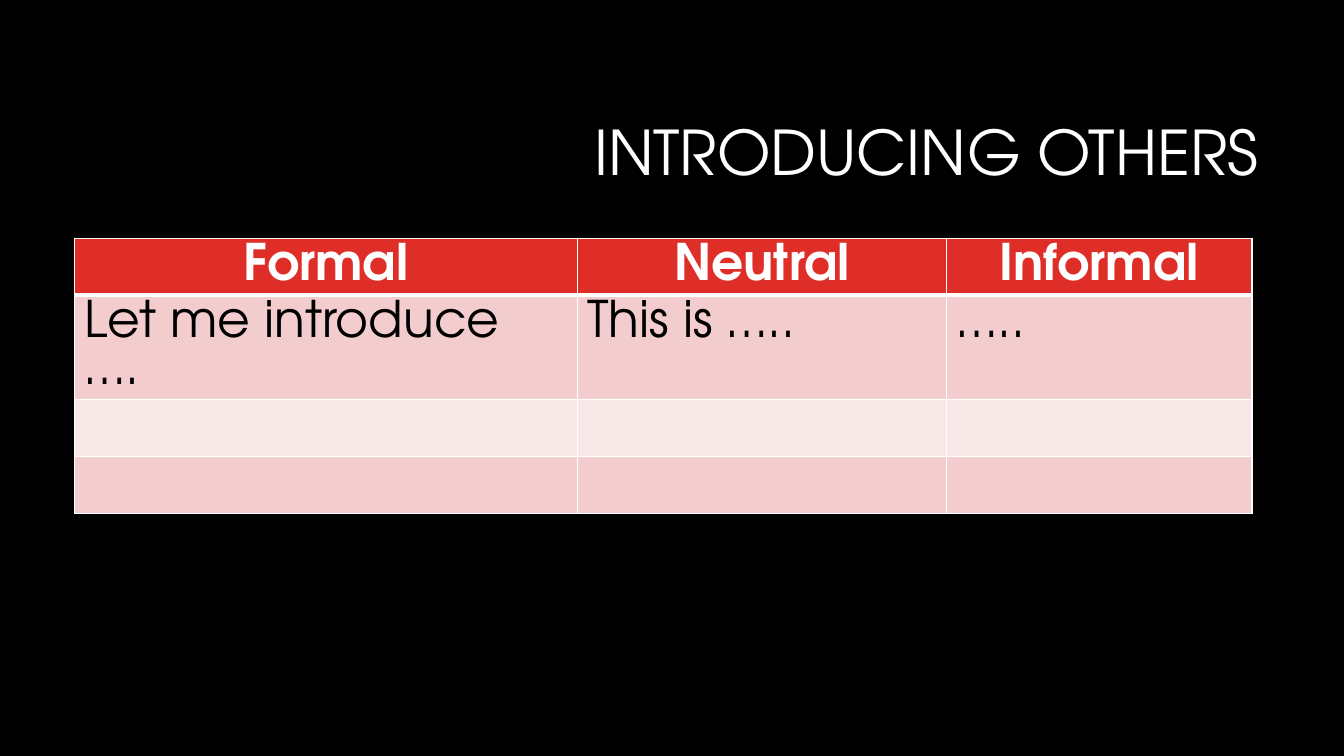
import dataclasses

import pptx
import pptx.dml.color
import pptx.enum.text
import pptx.oxml
import pptx.oxml.ns
import pptx.util

Cm = pptx.util.Cm
Pt = pptx.util.Pt
Align = pptx.enum.text.PP_ALIGN


@dataclasses.dataclass(frozen=True)
class Theme:
    font: str = "TeX Gyre Adventor"
    back: str = "000000"
    light: str = "FFFFFF"
    dark: str = "000000"
    head: str = "DF2E28"
    bands: tuple = ("F3CDCD", "F9E8E8")
    title: int = 44
    body: int = 36
    thin: int = 1
    thick: int = 3


THEME = Theme()
WIDTHS = (12.67, 9.3, 7.7)
HEIGHTS = (1.44, 2.62, 1.44, 1.44)
ROWS = (
    ("Formal", "Neutral", "Informal"),
    ("Let me introduce ….", "This is …..", "….."),
    ("", "", ""),
    ("", "", ""),
)


def color(code):
    return pptx.dml.color.RGBColor.from_string(code)


def style(para, size, code, align, bold=False):
    para.alignment = align
    font = para.font
    font.name = THEME.font
    font.size = Pt(size)
    font.bold = bold
    font.color.rgb = color(code)


def edge(cell, side, width):
    """Draw one border; side is L, R, T or B."""
    line = pptx.oxml.parse_xml(
        f'<a:ln{side} {pptx.oxml.ns.nsdecls("a")} w="{Pt(width)}">'
        f'<a:solidFill><a:srgbClr val="{THEME.light}"/></a:solidFill>'
        f'</a:ln{side}>'
    )
    cell._tc.get_or_add_tcPr().append(line)


def fill(cell, text, row):
    """Set the text, borders and band colour of a cell."""
    head = row == 0
    cell.text = text
    style(
        cell.text_frame.paragraphs[0],
        THEME.body,
        THEME.light if head else THEME.dark,
        Align.CENTER if head else Align.LEFT,
        head,
    )
    rule = {"T": 1, "B": 0}
    for side in "LRTB":
        heavy = rule.get(side) == row
        edge(cell, side, THEME.thick if heavy else THEME.thin)
    cell.fill.solid()
    band = THEME.bands[(row - 1) % 2]
    cell.fill.fore_color.rgb = color(THEME.head if head else band)


def add_title(slide, text):
    title = slide.shapes.title
    title.left, title.top = Cm(8.05), Cm(2.13)
    title.width, title.height = Cm(23.93), Cm(3.58)
    frame = title.text_frame
    frame.text = text
    frame.word_wrap = True
    frame.vertical_anchor = pptx.enum.text.MSO_ANCHOR.MIDDLE
    para = frame.paragraphs[0]
    para.line_spacing = 0.9
    style(para, THEME.title, THEME.light, Align.RIGHT)


def add_grid(slide):
    table = slide.shapes.add_table(
        len(ROWS), len(WIDTHS), Cm(1.88), Cm(6),
        Cm(sum(WIDTHS)), Cm(sum(HEIGHTS)),
    ).table
    for col, width in zip(table.columns, WIDTHS):
        col.width = Cm(width)
    for row, height in zip(table.rows, HEIGHTS):
        row.height = Cm(height)
    for row, texts in enumerate(ROWS):
        for col, text in enumerate(texts):
            fill(table.cell(row, col), text, row)


def main():
    deck = pptx.Presentation()
    deck.slide_width, deck.slide_height = Cm(33.87), Cm(19.05)
    slide = deck.slides.add_slide(deck.slide_layouts.get_by_name("Title Only"))
    back = slide.background.fill
    back.solid()
    back.fore_color.rgb = color(THEME.back)
    add_title(slide, "INTRODUCING OTHERS")
    add_grid(slide)
    deck.save("out.pptx")


if __name__ == "__main__":
    main()
